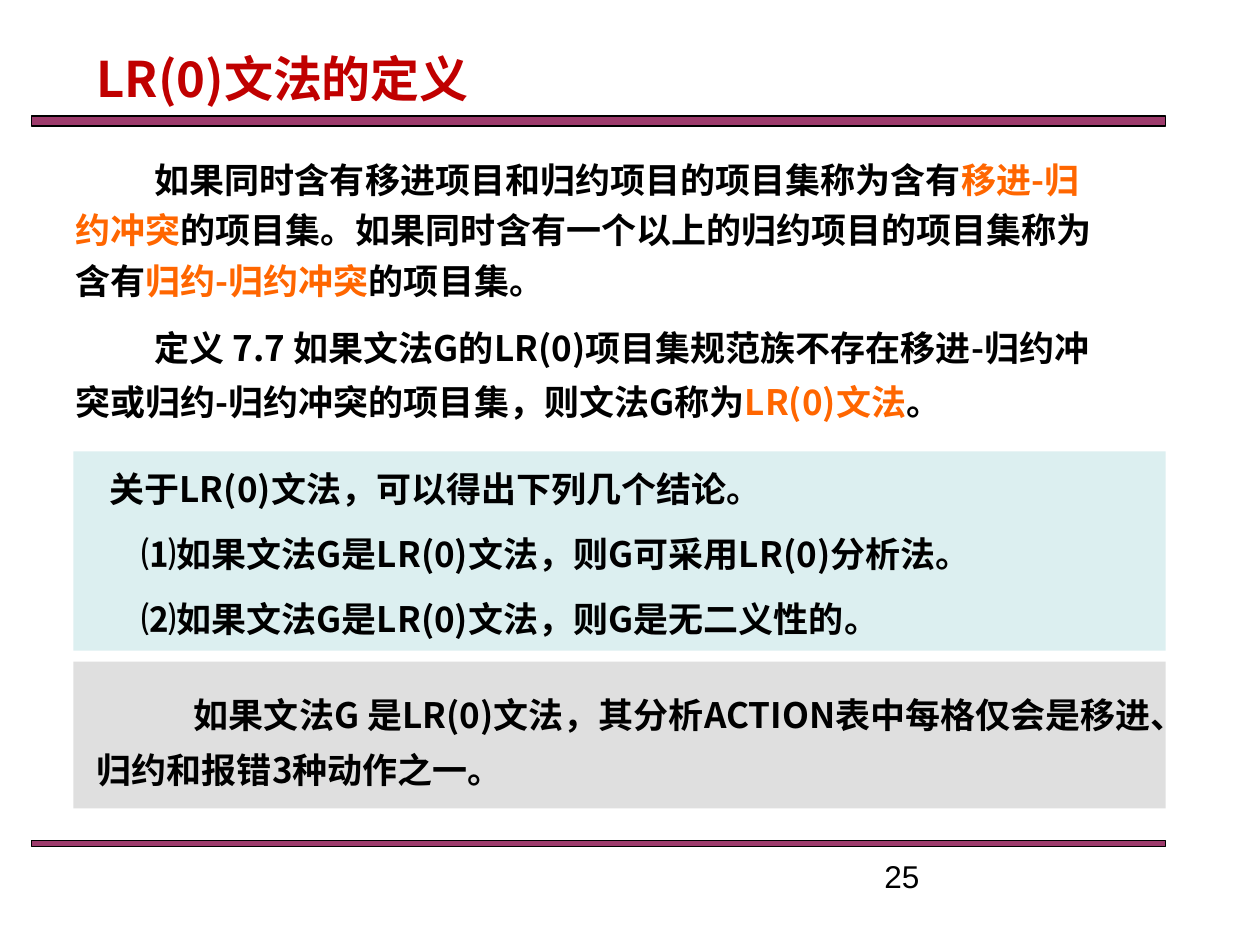
from lxml.etree import SubElement
from pptx import Presentation
from pptx.dml.color import RGBColor
from pptx.enum.shapes import MSO_SHAPE
from pptx.oxml.ns import qn
from pptx.util import Cm, Pt

BLACK, RED, ORANGE = "000000", "C00000", "FF6600"
PLUM, AQUA, GREY = "993366", "BBE0E3", "C0C0C0"


def color(value):
    return RGBColor.from_string(value)


def write(par, text, size=20, font="Noto Sans CJK SC", fill=BLACK, bold=True):
    run = par.add_run()
    run.text = text
    run.font.size, run.font.name, run.font.bold = Pt(size), font, bold
    run.font.color.rgb = color(fill)
    SubElement(run.font._element, qn("a:ea"), typeface=font)


class Page:
    """Holds the style and the current slide."""
    accent = ORANGE

    def __init__(self, deck):
        self.slide = deck.slides.add_slide(deck.slide_layouts[6])

    def panel(self, left, top, width, height, fill, alpha, edge=None):
        """Draw a see-through rectangle; alpha is its opacity in percent."""
        shape = self.slide.shapes.add_shape(
            MSO_SHAPE.RECTANGLE, Cm(left), Cm(top), Cm(width), Cm(height))
        shape.shadow.inherit = False
        shape.fill.solid()
        shape.fill.fore_color.rgb = color(fill)
        tint = shape._element.spPr.find(qn("a:solidFill"))[0]
        SubElement(tint, qn("a:alpha"), val=str(alpha * 1000))
        if edge:
            shape.line.color.rgb = color(edge)
            shape.line.width = Pt(0.75)
        else:
            shape.line.fill.background()

    def text(self, left, top, width, height, *pars, lines=1.0, first=0,
             inset=0, gap=0, **style):
        """Add paragraphs, each a list of parts; every second part is accented.

        first indents first lines; inset and gap apply after paragraph one.
        """
        box = self.slide.shapes.add_textbox(
            Cm(left), Cm(top), Cm(width), Cm(height))
        frame = box.text_frame
        frame.word_wrap = True
        for row, parts in enumerate(pars):
            par = frame.add_paragraph() if row else frame.paragraphs[0]
            par.line_spacing = lines
            props = par._p.get_or_add_pPr()
            props.set("marL", str(Cm(inset if row else 0)))
            props.set("indent", str(Cm(first)))
            if row:
                par.space_before = Pt(gap)
            for index, part in enumerate(parts):
                look = {"fill": self.accent} if index % 2 else {}
                write(par, part, **{**style, **look})


def main():
    deck = Presentation()
    deck.slide_width, deck.slide_height = Cm(25.4), Cm(19.05)
    page = Page(deck)

    for top, height in ((2.34, 0.2), (16.94, 0.13)):
        page.panel(0.64, top, 22.86, height, PLUM, 96, edge=BLACK)
    for top, height, fill in ((9.1, 4.02, AQUA), (13.34, 2.96, GREY)):
        page.panel(1.48, top, 22.02, height, fill, 50)

    page.text(1.7, 0.86, 11.43, 1.45, ["LR(0)文法的定义"], size=28, fill=RED)
    page.text(1.27, 2.9, 21.39, 3.2, [
        "如果同时含有移进项目和归约项目的项目集称为含有", "移进-归约冲突",
        "的项目集。如果同时含有一个以上的归约项目的项目集称为含有",
        "归约-归约冲突", "的项目集。"], lines=1.2, first=1.6)
    page.text(1.27, 6.2, 21.39, 2.31, [
        "定义 7.7 如果文法G的LR(0)项目集规范族不存在移进-归约冲突"
        "或归约-归约冲突的项目集，则文法G称为", "LR(0)文法", "。"],
        lines=1.3, first=1.6)
    page.text(1.7, 13.61, 22.23, 2.31, [
        "如果文法G 是LR(0)文法，其分析ACTION表中每格仅会是"
        "移进、归约和报错3种动作之一。"], lines=1.3, first=1.96)
    page.text(1.96, 9.04, 21.59, 4.06,
              ["关于LR(0)文法，可以得出下列几个结论。"],
              ["⑴如果文法G是LR(0)文法，则G可采用LR(0)分析法。"],
              ["⑵如果文法G是LR(0)文法，则G是无二义性的。"],
              lines=1.3, inset=0.64, gap=6)
    page.text(17.58, 17.15, 5.92, 0.69, ["25"],
              size=18, font="Arial", bold=False)

    deck.save("out.pptx")


if __name__ == "__main__":
    main()
